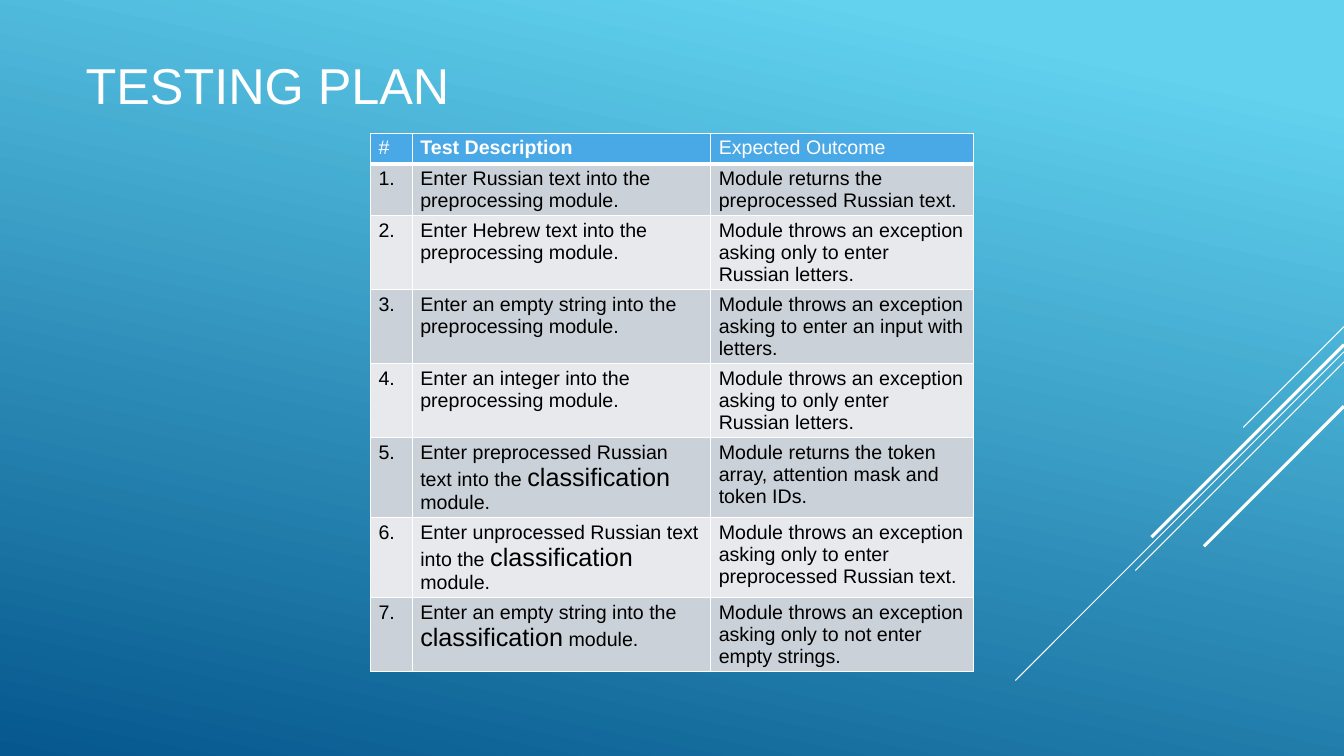
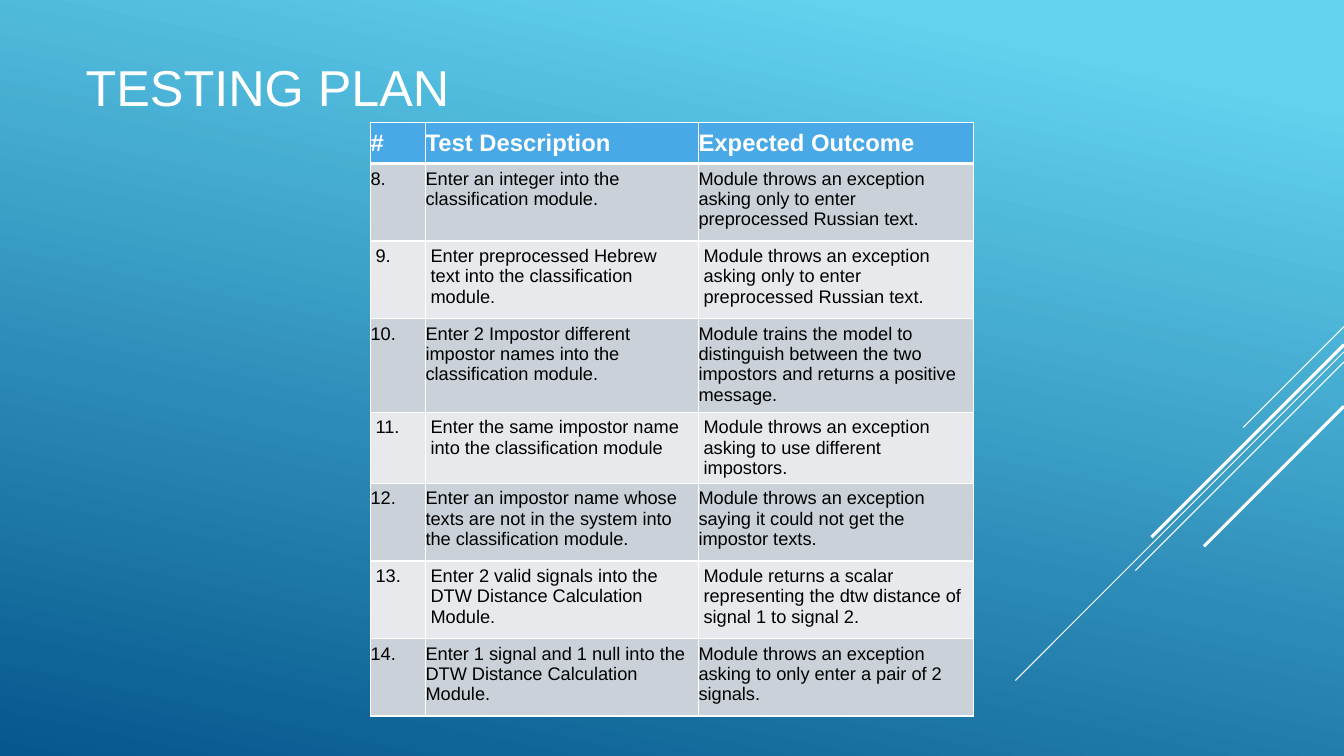
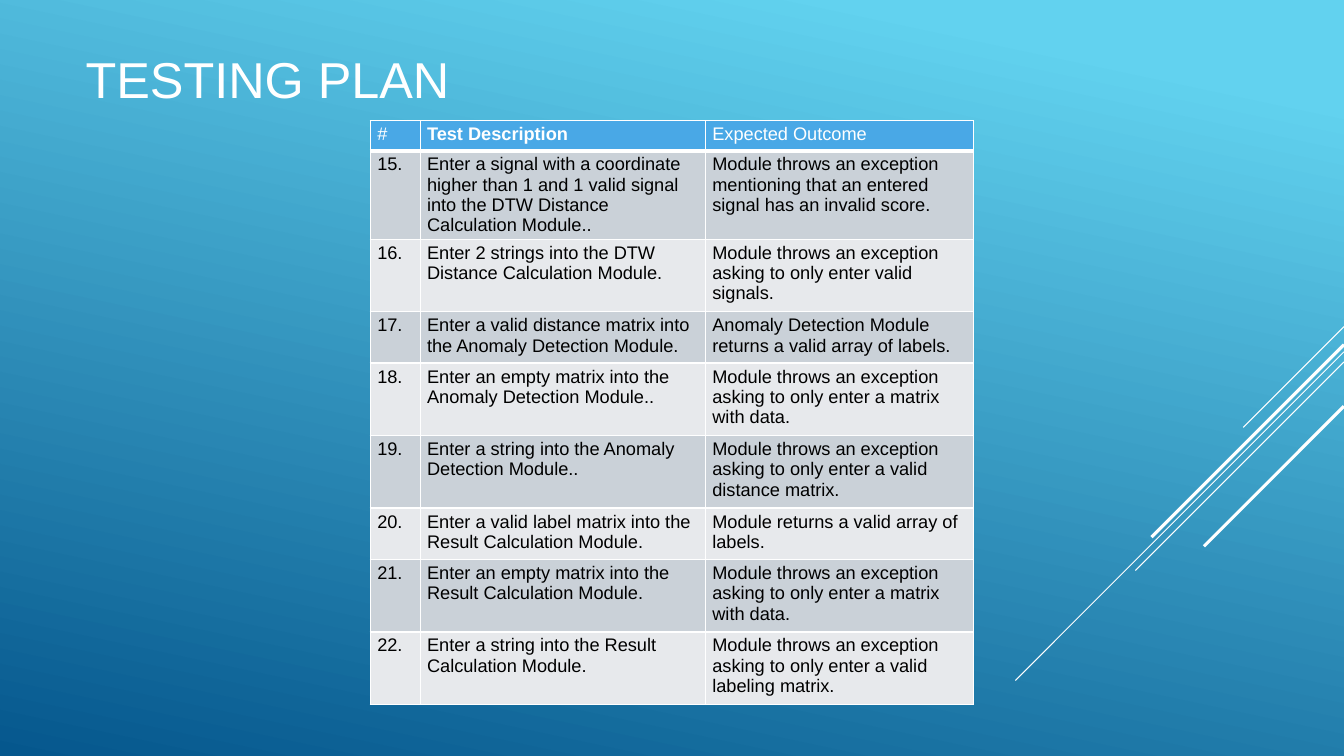
from dataclasses import dataclass
from typing import NamedTuple

from lxml import etree
from pptx import Presentation
from pptx.dml.color import RGBColor
from pptx.enum.shapes import MSO_CONNECTOR
from pptx.enum.text import MSO_ANCHOR, PP_ALIGN
from pptx.oxml.ns import qn
from pptx.util import Pt

STRAIGHT = MSO_CONNECTOR.STRAIGHT
TOP, MIDDLE = MSO_ANCHOR.TOP, MSO_ANCHOR.MIDDLE
LEFT = PP_ALIGN.LEFT
SLIDE_WIDTH, SLIDE_HEIGHT = 960, 540
TITLE_ONLY_LAYOUT = 5


@dataclass(frozen=True)
class Theme:
    font: str = "Arial"
    title_size: float = 36
    large_word_size: float = 18
    white: RGBColor = RGBColor(0xFF, 0xFF, 0xFF)
    black: RGBColor = RGBColor(0, 0, 0)
    sky: RGBColor = RGBColor(0x62, 0xD2, 0xEF)
    deep_blue: RGBColor = RGBColor(0x05, 0x57, 0x8D)
    header: RGBColor = RGBColor(0x49, 0xA8, 0xE6)
    dark_band: RGBColor = RGBColor(0xCA, 0xD1, 0xD8)
    light_band: RGBColor = RGBColor(0xE7, 0xE9, 0xEC)
    thin_border: float = 1
    thick_border: float = 3


THEME = Theme()


class Diagonal(NamedTuple):
    start_y: float
    span: float
    weight: float


class Insets(NamedTuple):
    left: float
    top: float
    right: float
    bottom: float


class TestCase(NamedTuple):
    height: float
    description: str
    outcome: str


@dataclass(frozen=True)
class TestSlide:
    title_top: float
    table_left: float
    table_top: float
    columns: tuple[float, ...]
    header_height: float
    header_size: float
    header_bold: tuple[bool, ...]
    header_anchor: MSO_ANCHOR
    header_insets: Insets
    body_size: float
    band_insets: tuple[Insets, Insets]
    first_number: int
    cases: tuple[TestCase, ...]
    large_word: str = ""


HEADINGS = ("#", "Test Description", "Expected Outcome")

DIAGONALS = (
    Diagonal(233.3, 72, 0.75),
    Diagonal(251.3, 234.7, 0.75),
    Diagonal(258.5, 149, 0.75),
    Diagonal(246.2, 137.5, 2.25),
    Diagonal(290.2, 100, 2.25),
)

WIDE_INSETS = Insets(5.75, 2.8, 5.75, 2.8)
NARROW_INSETS = Insets(5, 2.5, 5, 2.5)

TEST_SLIDES = (
    TestSlide(
        title_top=20.2, table_left=264.7, table_top=95.2,
        columns=(29.8, 213.2, 187.5),
        header_height=21.8, header_size=14, header_bold=(False, True, False),
        header_anchor=TOP, header_insets=WIDE_INSETS,
        body_size=14, band_insets=(WIDE_INSETS, WIDE_INSETS),
        first_number=1, large_word="classification",
        cases=(
            TestCase(36.7, "Enter Russian text into the preprocessing module.",
                     "Module returns the preprocessed Russian text."),
            TestCase(51.4, "Enter Hebrew text into the preprocessing module.",
                     "Module throws an exception asking only to enter Russian letters."),
            TestCase(51.4, "Enter an empty string into the preprocessing module.",
                     "Module throws an exception asking to enter an input with letters."),
            TestCase(51.4, "Enter an integer into the preprocessing module.",
                     "Module throws an exception asking to only enter Russian letters."),
            TestCase(51.4, "Enter preprocessed Russian text into the classification module.",
                     "Module returns the token array, attention mask and token IDs."),
            TestCase(51.4, "Enter unprocessed Russian text into the classification module.",
                     "Module throws an exception asking only to enter preprocessed Russian text."),
            TestCase(51.4, "Enter an empty string into the classification module.",
                     "Module throws an exception asking only to not enter empty strings."),
        ),
    ),
    TestSlide(
        title_top=21.6, table_left=264.7, table_top=87.3,
        columns=(39.3, 195, 196.4),
        header_height=29.5, header_size=17, header_bold=(True, True, True),
        header_anchor=MIDDLE, header_insets=Insets(0, 3.6, 0.7, 3.6),
        body_size=13,
        band_insets=(Insets(0, 3.6, 7.9, 3.6), Insets(3.6, 3.6, 7.9, 3.6)),
        first_number=8,
        cases=(
            TestCase(55.4, "Enter an integer into the classification module.",
                     "Module throws an exception asking only to enter preprocessed Russian text."),
            TestCase(55.4, "Enter preprocessed Hebrew text into the classification module.",
                     "Module throws an exception asking only to enter preprocessed Russian text."),
            TestCase(67, "Enter 2 Impostor different impostor names into the classification module.",
                     "Module trains the model to distinguish between the two impostors "
                     "and returns a positive message."),
            TestCase(40.3, "Enter the same impostor name into the classification module",
                     "Module throws an exception asking to use different impostors."),
            TestCase(55.4, "Enter an impostor name whose texts are not in the system "
                     "into the classification module.",
                     "Module throws an exception saying it could not get the impostor texts."),
            TestCase(55.4, "Enter 2 valid signals into the DTW Distance Calculation Module.",
                     "Module returns a scalar representing the dtw distance of signal 1 to signal 2."),
            TestCase(55.4, "Enter 1 signal and 1 null into the DTW Distance Calculation Module.",
                     "Module throws an exception asking to only enter a pair of 2 signals."),
        ),
    ),
    TestSlide(
        title_top=15.8, table_left=264.5, table_top=86.2,
        columns=(35.6, 203.8, 191.5),
        header_height=21.6, header_size=13, header_bold=(False, True, False),
        header_anchor=TOP, header_insets=NARROW_INSETS,
        body_size=13, band_insets=(NARROW_INSETS, NARROW_INSETS),
        first_number=15,
        cases=(
            TestCase(51.8, "Enter a signal with a coordinate higher than 1 and 1 valid signal "
                     "into the DTW Distance Calculation Module..",
                     "Module throws an exception mentioning that an entered signal "
                     "has an invalid score."),
            TestCase(51.8, "Enter 2 strings into the DTW Distance Calculation Module.",
                     "Module throws an exception asking to only enter valid signals."),
            TestCase(36.7, "Enter a valid distance matrix into the Anomaly Detection Module.",
                     "Anomaly Detection Module returns a valid array of labels."),
            TestCase(51.8, "Enter an empty matrix into the Anomaly Detection Module..",
                     "Module throws an exception asking to only enter a matrix with data."),
            TestCase(51.8, "Enter a string into the Anomaly Detection Module..",
                     "Module throws an exception asking to only enter a valid distance matrix."),
            TestCase(36.7, "Enter a valid label matrix into the Result Calculation Module.",
                     "Module returns a valid array of labels."),
            TestCase(51.8, "Enter an empty matrix into the Result Calculation Module.",
                     "Module throws an exception asking to only enter a matrix with data."),
            TestCase(51.8, "Enter a string into the Result Calculation Module.",
                     "Module throws an exception asking to only enter a valid labeling matrix."),
        ),
    ),
)


def paint_background(master) -> None:
    fill = master.background.fill
    fill.gradient()
    fill.gradient_angle = 258
    stops = ((0.1, THEME.sky), (1, THEME.deep_blue))
    for stop, (position, color) in zip(fill.gradient_stops, stops):
        stop.position = position
        stop.color.rgb = color


def move_diagonals_to_master(slide, master) -> None:
    for index, diagonal in enumerate(DIAGONALS):
        connector = slide.shapes.add_connector(
            STRAIGHT, Pt(SLIDE_WIDTH), Pt(diagonal.start_y),
            Pt(SLIDE_WIDTH - diagonal.span), Pt(diagonal.start_y + diagonal.span))
        connector.line.color.rgb = THEME.white
        connector.line.width = Pt(diagonal.weight)
        etree.SubElement(connector.element.spPr, qn("a:effectLst"))
        connector.element.nvCxnSpPr.cNvPr.set("id", str(100 + index))
        master.shapes.element.append(connector.element)


def set_font(paragraph, size: float, color: RGBColor, bold: bool = False) -> None:
    font = paragraph.font
    font.name = THEME.font
    font.size = Pt(size)
    font.bold = bold
    font.color.rgb = color


def set_insets(target, insets: Insets) -> None:
    target.margin_left = Pt(insets.left)
    target.margin_top = Pt(insets.top)
    target.margin_right = Pt(insets.right)
    target.margin_bottom = Pt(insets.bottom)


def write_title(slide, top: float) -> None:
    title = slide.shapes.title
    title.left, title.top, title.width, title.height = Pt(54), Pt(top), Pt(672), Pt(119)
    frame = title.text_frame
    frame.word_wrap = True
    frame.vertical_anchor = MIDDLE
    set_insets(frame, Insets(7.2, 3.6, 7.2, 42))
    frame.text = "TESTING PLAN"
    paragraph = frame.paragraphs[0]
    paragraph.alignment = LEFT
    set_font(paragraph, THEME.title_size, THEME.white)


def add_borders(cell, top: float, bottom: float) -> None:
    properties = cell._tc.get_or_add_tcPr()
    thin = THEME.thin_border
    for side, width in (("L", thin), ("R", thin), ("T", top), ("B", bottom)):
        line = etree.SubElement(properties, qn(f"a:ln{side}"), w=str(Pt(width)))
        fill = etree.SubElement(line, qn("a:solidFill"))
        etree.SubElement(fill, qn("a:srgbClr"), val=str(THEME.white))


def write_text(paragraph, text: str, large_word: str) -> None:
    if not large_word or large_word not in text:
        paragraph.add_run().text = text
        return
    for part in text.partition(large_word):
        run = paragraph.add_run()
        run.text = part
        if part == large_word:
            run.font.size = Pt(THEME.large_word_size)


def add_test_table(slide, plan: TestSlide) -> None:
    heights = (plan.header_height, *(case.height for case in plan.cases))
    table = slide.shapes.add_table(
        len(heights), len(plan.columns), Pt(plan.table_left), Pt(plan.table_top),
        Pt(sum(plan.columns)), Pt(sum(heights))).table
    table.first_row = False
    table.horz_banding = False
    for column, width in zip(table.columns, plan.columns):
        column.width = Pt(width)
    for row, height in zip(table.rows, heights):
        row.height = Pt(height)

    thin, thick = THEME.thin_border, THEME.thick_border
    for cell, heading, bold in zip(table.rows[0].cells, HEADINGS, plan.header_bold):
        add_borders(cell, thin, thick)
        cell.fill.solid()
        cell.fill.fore_color.rgb = THEME.header
        cell.vertical_anchor = plan.header_anchor
        set_insets(cell, plan.header_insets)
        paragraph = cell.text_frame.paragraphs[0]
        write_text(paragraph, heading, "")
        set_font(paragraph, plan.header_size, THEME.white, bold)

    bands = (THEME.dark_band, THEME.light_band)
    for index, case in enumerate(plan.cases):
        texts = (f"{plan.first_number + index}.", case.description, case.outcome)
        for cell, text in zip(table.rows[index + 1].cells, texts):
            add_borders(cell, thick if index == 0 else thin, thin)
            cell.fill.solid()
            cell.fill.fore_color.rgb = bands[index % 2]
            cell.vertical_anchor = TOP
            set_insets(cell, plan.band_insets[index % 2])
            paragraph = cell.text_frame.paragraphs[0]
            write_text(paragraph, text, plan.large_word)
            set_font(paragraph, plan.body_size, THEME.black)


def main() -> None:
    presentation = Presentation()
    presentation.slide_width = Pt(SLIDE_WIDTH)
    presentation.slide_height = Pt(SLIDE_HEIGHT)
    master = presentation.slide_master
    paint_background(master)
    layout = presentation.slide_layouts[TITLE_ONLY_LAYOUT]
    for plan in TEST_SLIDES:
        slide = presentation.slides.add_slide(layout)
        write_title(slide, plan.title_top)
        add_test_table(slide, plan)
    move_diagonals_to_master(presentation.slides[0], master)
    presentation.save("out.pptx")


if __name__ == "__main__":
    main()
